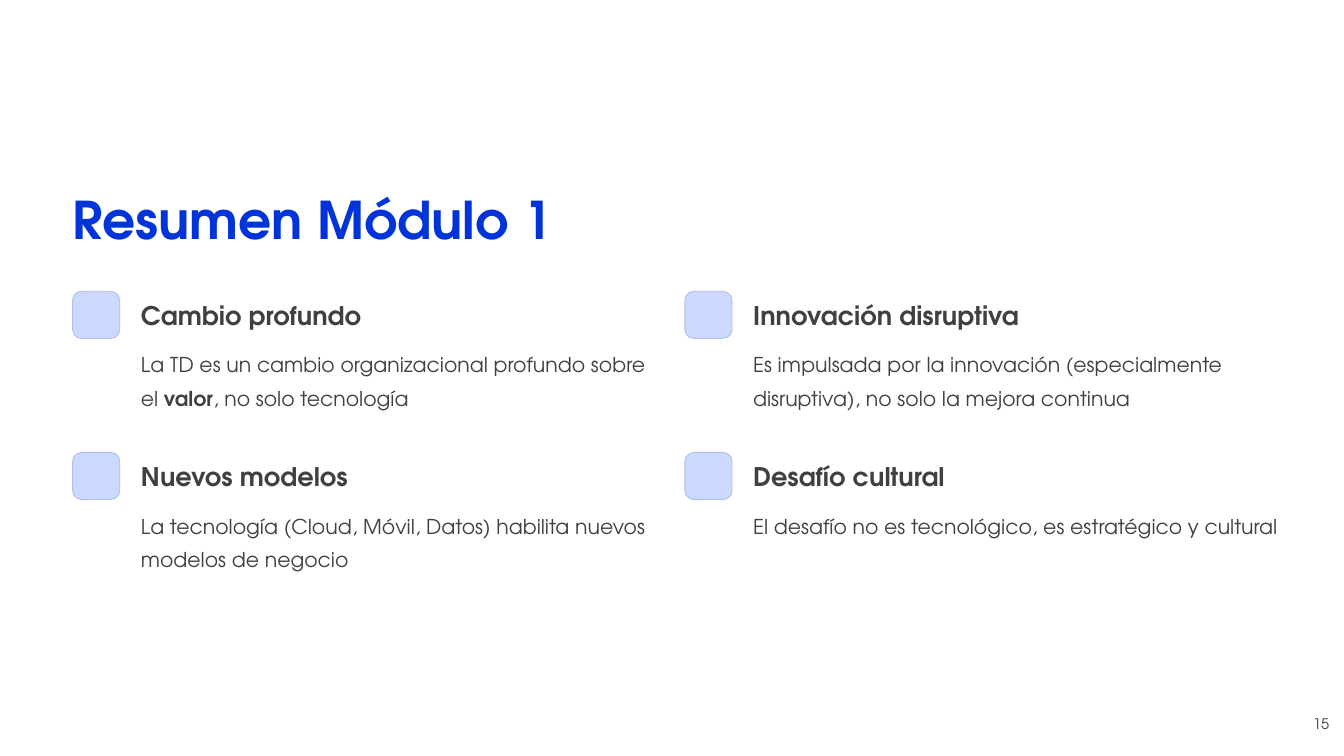
from pptx import Presentation
from pptx.dml.color import RGBColor
from pptx.enum.shapes import MSO_SHAPE as Shape
from pptx.enum.text import PP_ALIGN as Align
from pptx.util import Cm, Pt

BLUE = RGBColor(0x00, 0x34, 0xD9)
GREY = RGBColor(0x40, 0x40, 0x40)
TILE_FILL = RGBColor(0xCC, 0xD8, 0xFF)
TILE_LINE = RGBColor(0xB2, 0xBE, 0xE5)
WHITE = RGBColor(0xFF, 0xFF, 0xFF)

# Points in reading order; ** marks bold words
POINTS = [
    ("Cambio profundo",
     "La TD es un cambio organizacional profundo sobre el **valor**, no solo tecnología"),
    ("Innovación disruptiva",
     "Es impulsada por la innovación (especialmente disruptiva), no solo la mejora continua"),
    ("Nuevos modelos",
     "La tecnología (Cloud, Móvil, Datos) habilita nuevos modelos de negocio"),
    ("Desafío cultural",
     "El desafío no es tecnológico, es estratégico y cultural"),
]
LEFT, TOP = 1.83, 7.34
COLUMN_STEP, ROW_STEP = 15.43, 4.06
TILE = 1.19
TEXT_INDENT = 1.72


class SummarySlide:
    font = "TeX Gyre Adventor"

    def __init__(self, deck):
        self.slide = deck.slides.add_slide(deck.slide_layouts[6])
        self.slide.background.fill.solid()
        self.slide.background.fill.fore_color.rgb = WHITE

    def text(self, content, left, top, width, height, size, spacing,
             color=GREY, bold=False, align=Align.LEFT):
        box = self.slide.shapes.add_textbox(Cm(left), Cm(top), Cm(width), Cm(height))
        frame = box.text_frame
        frame.word_wrap = True
        frame.margin_left = frame.margin_right = 0
        frame.margin_top = frame.margin_bottom = 0
        paragraph = frame.paragraphs[0]
        paragraph.alignment = align
        paragraph.line_spacing = Pt(spacing)
        for index, part in enumerate(content.split("**")):
            run = paragraph.add_run()
            run.text = part
            run.font.name = self.font
            run.font.size = Pt(size)
            run.font.color.rgb = color
            run.font.bold = bold or index % 2 == 1

    def tile(self, left, top):
        tile = self.slide.shapes.add_shape(
            Shape.ROUNDED_RECTANGLE, Cm(left), Cm(top), Cm(TILE), Cm(TILE))
        tile.adjustments[0] = 0.19
        tile.shadow.inherit = False
        tile.fill.solid()
        tile.fill.fore_color.rgb = TILE_FILL
        tile.line.color.rgb = TILE_LINE
        tile.line.width = Pt(0.6)

    def point(self, heading, body, left, top):
        self.tile(left, top)
        text_left = left + TEXT_INDENT
        self.text(heading, text_left, top + 0.18, 7.2, 0.81, 18.3, 22.9, bold=True)
        # A short body stays on one line in a slightly wider box
        width, height = (13.6, 0.84) if len(body) < 60 else (13.06, 1.68)
        self.text(body, text_left, top + 1.32, width, height, 14.6, 23.8)


def main():
    deck = Presentation()
    deck.slide_width, deck.slide_height = Cm(33.87), Cm(19.05)
    summary = SummarySlide(deck)

    # Title
    summary.text("Resumen Módulo 1", LEFT, 4.66, 13.13, 1.65, 37.1, 46.2,
                 color=BLUE, bold=True)

    # Two-by-two grid of points
    for index, (heading, body) in enumerate(POINTS):
        row, column = divmod(index, 2)
        summary.point(heading, body, LEFT + column * COLUMN_STEP, TOP + row * ROW_STEP)

    # Page number
    summary.text("15", 32.61, 17.86, 0.89, 0.58, 10.4, 16.7, align=Align.RIGHT)

    deck.save("out.pptx")


if __name__ == "__main__":
    main()
